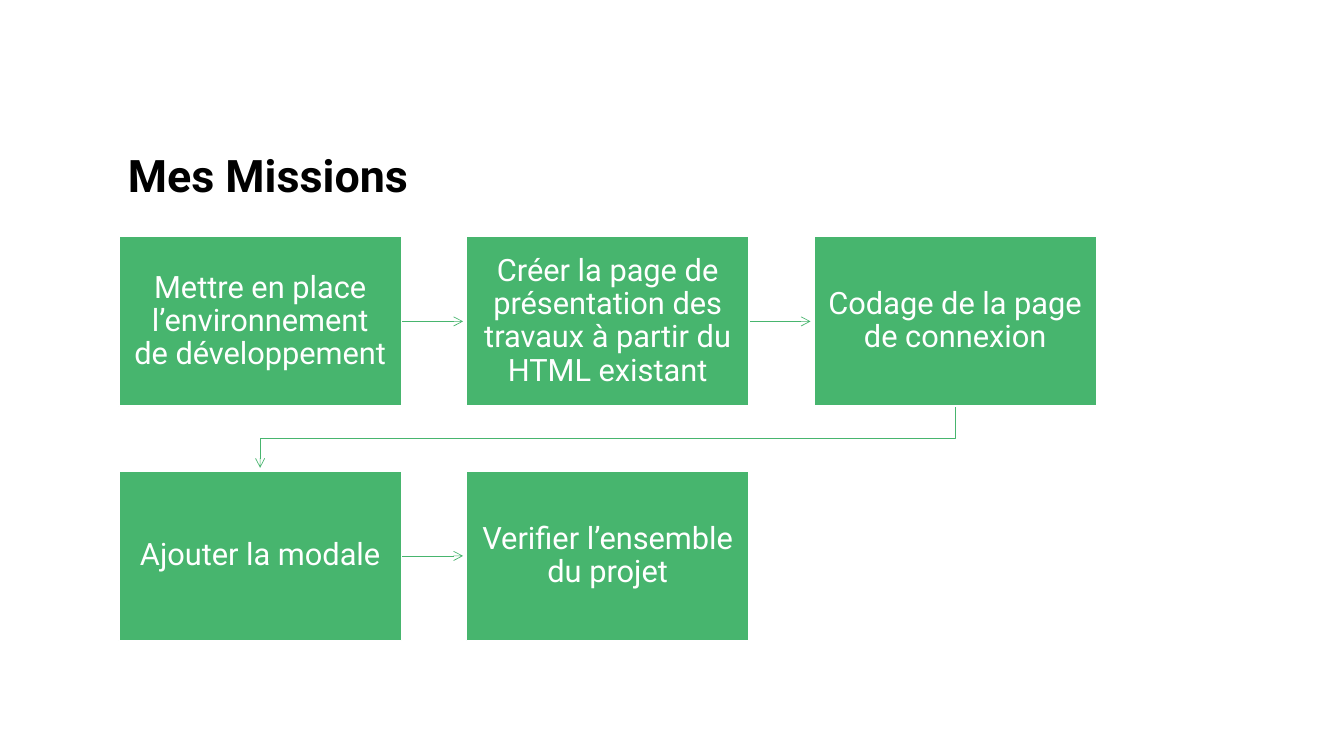
from lxml.etree import SubElement
from pptx import Presentation
from pptx.dml.color import RGBColor
from pptx.enum.shapes import MSO_CONNECTOR as Connector, MSO_SHAPE as Shape
from pptx.enum.text import MSO_ANCHOR as Anchor, PP_ALIGN as Align
from pptx.oxml.ns import qn
from pptx.util import Pt

COLORS = {"green": "47B56E", "white": "FFFFFF", "black": "000000"}
MISSIONS = [
    "Mettre en place l’environnement de développement",
    "Créer la page de présentation des travaux à partir du HTML existant",
    "Codage de la page de connexion",
    "Ajouter la modale",
    "Verifier l’ensemble du projet",
]
COLUMNS = 3
LEFT, TOP = 84.95, 169.05
WIDTH, HEIGHT = 201.8, 121.1
COLUMN_STEP, ROW_STEP = 248.2, 167.5
ARROW_GAP = 2.4  # free space between an arrowhead and the next mission


def write_text(frame, text, size, color, bold, align, format_values):
    for attribute, value in format_values.items():
        setattr(frame, attribute, value)
    paragraph = frame.paragraphs[0]
    paragraph.alignment = align
    paragraph.line_spacing = 0.9
    run = paragraph.add_run()
    run.text = text
    for attribute, value in {"name": "Roboto", "size": Pt(size), "bold": bold}.items():
        setattr(run.font, attribute, value)
    run.font.color.rgb = RGBColor.from_string(COLORS[color])


def style_arrow(arrow):
    arrow.line.color.rgb = RGBColor.from_string(COLORS["green"])
    arrow.line.width = Pt(0.5)
    properties = arrow.line._get_or_add_ln()
    SubElement(properties, qn("a:tailEnd"), type="arrow")
    SubElement(properties.getparent(), qn("a:effectLst"))


presentation = Presentation()
presentation.slide_width, presentation.slide_height = Pt(960), Pt(540)
slide = presentation.slides.add_slide(presentation.slide_layouts[6])

# Title
title = slide.shapes.add_textbox(Pt(84.25), Pt(73.45), Pt(699.85), Pt(74.9))
write_text(title.text_frame, "Mes Missions", 32, "black", True, Align.LEFT,
           {"word_wrap": True, "vertical_anchor": Anchor.BOTTOM})

# Missions, each with its arrow to the next one
mission_format = {"word_wrap": True, "vertical_anchor": Anchor.MIDDLE}
for side in ("left", "right", "top", "bottom"):
    mission_format[f"margin_{side}"] = Pt(9.9)

for index, mission in enumerate(MISSIONS):
    row, column = divmod(index, COLUMNS)
    left, top = LEFT + column * COLUMN_STEP, TOP + row * ROW_STEP
    right, bottom = left + WIDTH, top + HEIGHT

    if index < len(MISSIONS) - 1:
        if column < COLUMNS - 1:
            middle = top + HEIGHT / 2
            arrow = slide.shapes.add_connector(
                Connector.STRAIGHT, Pt(right), Pt(middle),
                Pt(left + COLUMN_STEP - ARROW_GAP), Pt(middle))
        else:
            start, end = left + WIDTH / 2, LEFT + WIDTH / 2
            next_top = top + ROW_STEP
            bend = (bottom + next_top) / 2
            outline = slide.shapes.build_freeform(Pt(start), Pt(bottom))
            outline.add_line_segments(
                [(Pt(start), Pt(bend)), (Pt(end), Pt(bend)),
                 (Pt(end), Pt(next_top - ARROW_GAP))], close=False)
            arrow = outline.convert_to_shape()
            arrow.fill.background()
        style_arrow(arrow)

    box = slide.shapes.add_shape(Shape.RECTANGLE, Pt(left), Pt(top), Pt(WIDTH), Pt(HEIGHT))
    box.shadow.inherit = False
    box.fill.solid()
    box.fill.fore_color.rgb = RGBColor.from_string(COLORS["green"])
    box.line.color.rgb = RGBColor.from_string(COLORS["white"])
    box.line.width = Pt(1)
    write_text(box.text_frame, mission, 22, "white", False, Align.CENTER, mission_format)

presentation.save("out.pptx")
